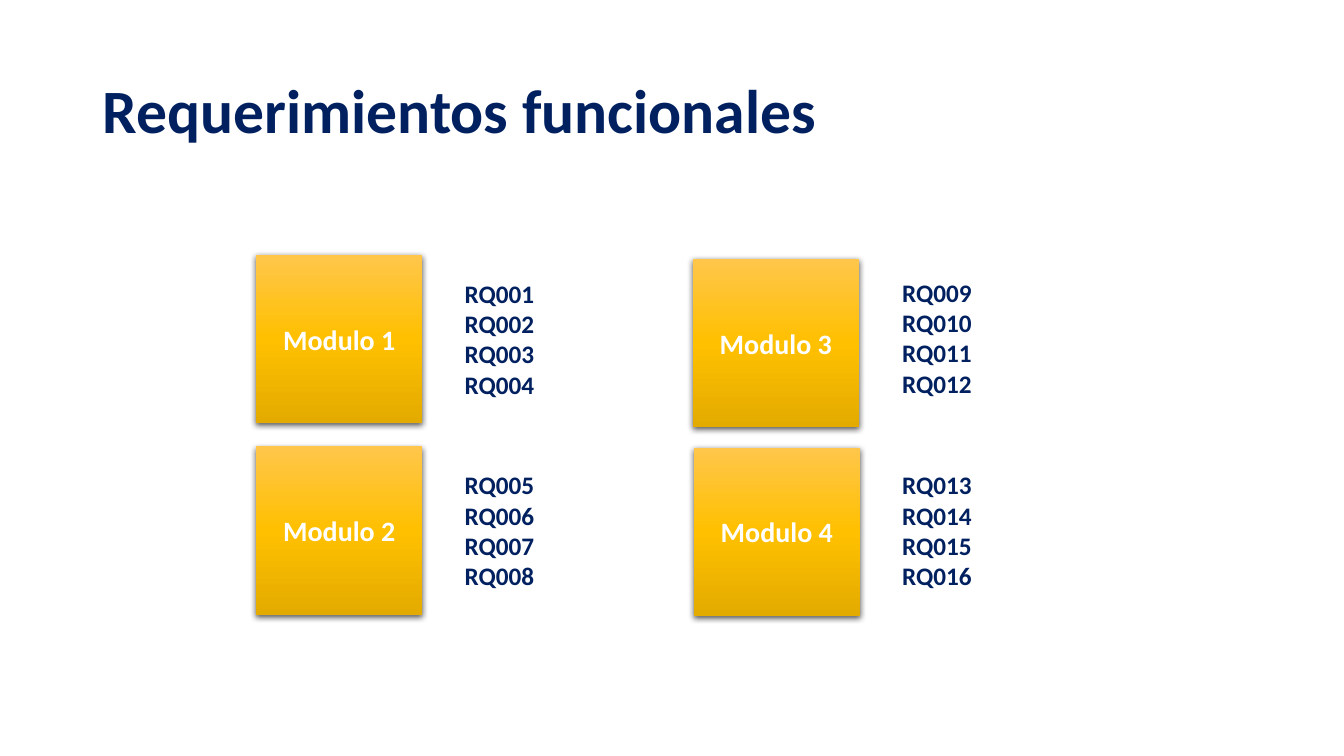
from dataclasses import dataclass

from pptx import Presentation
from pptx.dml.color import RGBColor
from pptx.enum.shapes import MSO_SHAPE
from pptx.enum.text import MSO_ANCHOR, MSO_AUTO_SIZE, PP_ALIGN
from pptx.oxml import parse_xml
from pptx.oxml.ns import nsdecls, qn
from pptx.shapes.autoshape import Shape
from pptx.slide import Slide
from pptx.text.text import _Paragraph as Para
from pptx.util import Inches, Pt

NAVY, WHITE = "002060", "FFFFFF"
STOPS = [(0, "FFC64B"), (50, "FFC000"), (100, "E3AB00")]
WIDTH, HEIGHT = 1.65, 1.67
CODES = 4  # requirements per module


@dataclass
class Module:
    num: int
    left: float
    top: float
    list_left: float
    list_top: float

    def codes(self) -> list[str]:
        first = (self.num - 1) * CODES + 1
        return [f"RQ{n:03}" for n in range(first, first + CODES)]


MODULES = [
    Module(1, 2.54, 2.53, 4.51, 2.71),
    Module(2, 2.54, 4.43, 4.51, 4.61),
    Module(3, 6.87, 2.57, 8.85, 2.7),
    Module(4, 6.88, 4.44, 8.85, 4.61),
]


def color(code: str) -> RGBColor:
    return RGBColor.from_string(code)


def style(para: Para, size: int, code: str) -> None:
    font = para.font
    font.name, font.size, font.bold = "Calibri", Pt(size), True
    font.color.rgb = color(code)


def paint(shape: Shape) -> None:
    """Give a tile its gold gradient and soft shadow."""
    shape.line.fill.background()
    shape.fill.gradient()
    shape.fill.gradient_angle = 270
    props = shape._element.spPr
    stops = props.find(".//" + qn("a:gsLst"))
    stops.clear()
    for pos, code in STOPS:
        stops.append(parse_xml(
            f'<a:gs {nsdecls("a")} pos="{pos * 1000}"><a:srgbClr val="{code}"/></a:gs>'))
    shape.shadow.inherit = False
    props.find(qn("a:effectLst")).append(parse_xml(
        f'<a:outerShdw {nsdecls("a")} blurRad="{Pt(4.5)}" dist="{Pt(1.5)}" '
        'dir="5400000" algn="ctr" rotWithShape="0">'
        '<a:srgbClr val="000000"><a:alpha val="63000"/></a:srgbClr></a:outerShdw>'))


def add_title(slide: Slide, text: str) -> None:
    box = slide.shapes.add_textbox(Inches(0.92), Inches(0.4), Inches(11.5), Inches(1.45))
    frame = box.text_frame
    frame.word_wrap = True
    frame.vertical_anchor = MSO_ANCHOR.MIDDLE
    para = frame.paragraphs[0]
    para.text = text
    para.line_spacing = 0.9
    style(para, 44, NAVY)


def add_tile(slide: Slide, mod: Module) -> None:
    tile = slide.shapes.add_shape(
        MSO_SHAPE.RECTANGLE, Inches(mod.left), Inches(mod.top), Inches(WIDTH), Inches(HEIGHT))
    paint(tile)
    tile.text_frame.vertical_anchor = MSO_ANCHOR.MIDDLE
    para = tile.text_frame.paragraphs[0]
    para.text = f"Modulo {mod.num}"
    para.alignment = PP_ALIGN.CENTER
    style(para, 20, WHITE)


def add_list(slide: Slide, mod: Module) -> None:
    box = slide.shapes.add_textbox(
        Inches(mod.list_left), Inches(mod.list_top), Inches(0.9), Inches(1.31))
    frame = box.text_frame
    frame.word_wrap = False
    frame.auto_size = MSO_AUTO_SIZE.SHAPE_TO_FIT_TEXT
    frame.text = "\n".join(mod.codes())
    for para in frame.paragraphs:
        style(para, 18, NAVY)


def main() -> None:
    deck = Presentation()
    deck.slide_width, deck.slide_height = Inches(13.33), Inches(7.5)
    slide = deck.slides.add_slide(deck.slide_layouts[6])

    # Heading
    add_title(slide, "Requerimientos funcionales")

    # Modules with their requirement codes
    for mod in MODULES:
        add_tile(slide, mod)
        add_list(slide, mod)

    deck.save("out.pptx")


if __name__ == "__main__":
    main()
